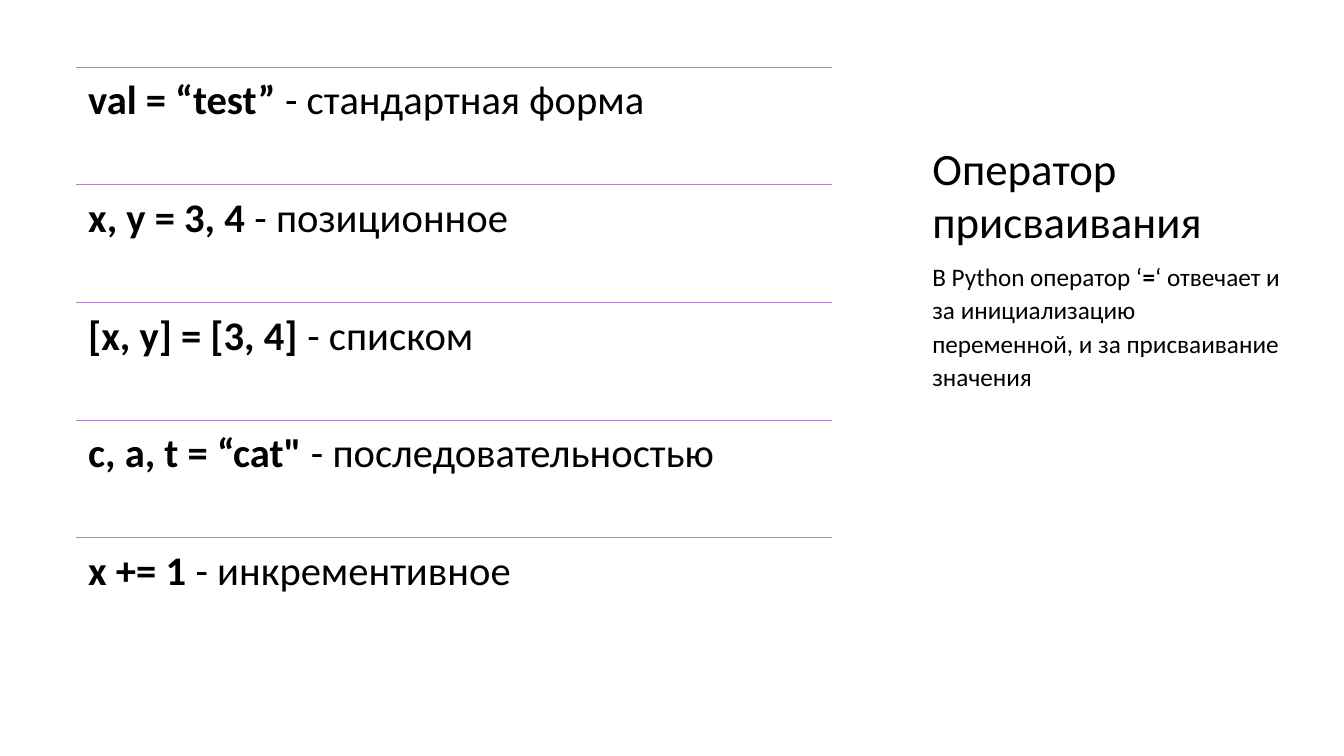
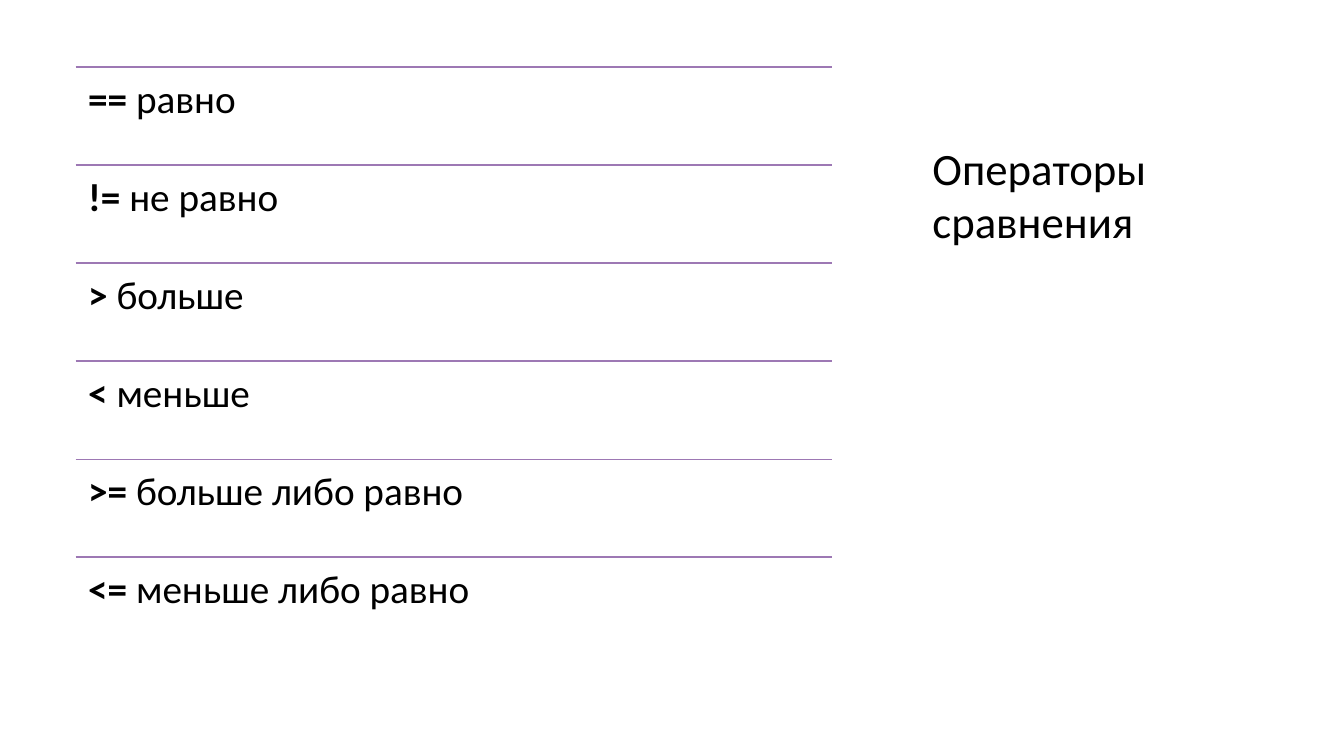
from lxml.etree import SubElement
from pptx import Presentation
from pptx.dml.color import RGBColor
from pptx.enum.shapes import MSO_CONNECTOR
from pptx.enum.text import MSO_ANCHOR
from pptx.oxml.ns import qn
from pptx.util import Pt

PX = 9525
FONT = "Calibri"
BLACK = RGBColor(0x00, 0x00, 0x00)
LILAC = RGBColor(0xAD, 0x84, 0xC6)
PLUM = RGBColor(0x9D, 0x78, 0xB4)

# Boxes in px: left, top, width, height
LIST = (72, 64, 720, 560)
TITLE = (888, 63, 332, 173)
NOTE = (888, 246, 332, 378)
PAD = 12

# A run is (text, bold); a row is (code, meaning)
SLIDES = [
    {
        "title": "Оператор присваивания",
        "note": [
            ("В Python оператор ‘", False),
            ("=", True),
            ("‘ отвечает и за инициализацию переменной, "
             "и за присваивание значения", False),
        ],
        "rows": [
            ("val = “test” ", "- стандартная форма"),
            ("x, y = 3, 4 ", "- позиционное"),
            ("[x, y] = [3, 4] ", "- списком"),
            ("c, a, t = “cat\" ", "- последовательностью"),
            ("x += 1 ", "- инкрементивное"),
        ],
        "size": 29, "color": LILAC, "weight": 0.5,
    },
    {
        "title": "Операторы сравнения",
        "note": [],
        "rows": [
            ("== ", "равно"),
            ("!= ", "не равно"),
            ("> ", "больше"),
            ("< ", "меньше"),
            (">= ", "больше либо равно"),
            ("<= ", "меньше либо равно"),
        ],
        "size": 28, "color": PLUM, "weight": 1,
    },
]


def emu(*px):
    return [round(n * PX) for n in px]


def add_text(slide, box, runs, size, pad=0, anchor=MSO_ANCHOR.TOP,
             spacing=1.0, before=0):
    frame = slide.shapes.add_textbox(*emu(*box)).text_frame
    frame.word_wrap = True
    frame.vertical_anchor = anchor
    frame.margin_left = frame.margin_right = pad * PX
    frame.margin_top = frame.margin_bottom = pad * PX
    para = frame.paragraphs[0]
    para.line_spacing = spacing
    para.space_before = Pt(before)
    for text, bold in runs:
        run = para.add_run()
        run.text = text
        run.font.name = FONT
        run.font.size = Pt(size)
        run.font.bold = bold
        run.font.color.rgb = BLACK


def add_rule(slide, left, top, width, color, weight):
    rule = slide.shapes.add_connector(
        MSO_CONNECTOR.STRAIGHT, *emu(left, top, left + width, top))
    rule.line.color.rgb = color
    rule.line.width = Pt(weight)
    SubElement(rule.element.spPr, qn("a:effectLst"))


def add_list(slide, data):
    left, top, width, height = LIST
    step = height / len(data["rows"])
    for i, (code, sense) in enumerate(data["rows"]):
        y = top + i * step
        add_rule(slide, left, y, width, data["color"], data["weight"])
        add_text(slide, (left, y, width, step),
                 [(code, True), (sense, False)],
                 data["size"], pad=PAD, spacing=0.9)


def main():
    deck = Presentation()
    deck.slide_width, deck.slide_height = emu(1280, 720)
    for data in SLIDES:
        slide = deck.slides.add_slide(deck.slide_layouts[6])
        add_text(slide, TITLE, [(data["title"], False)], 32,
                 anchor=MSO_ANCHOR.BOTTOM)
        add_list(slide, data)
        if data["note"]:
            add_text(slide, NOTE, data["note"], 18, spacing=1.1, before=8)
    deck.save("out.pptx")


if __name__ == "__main__":
    main()
